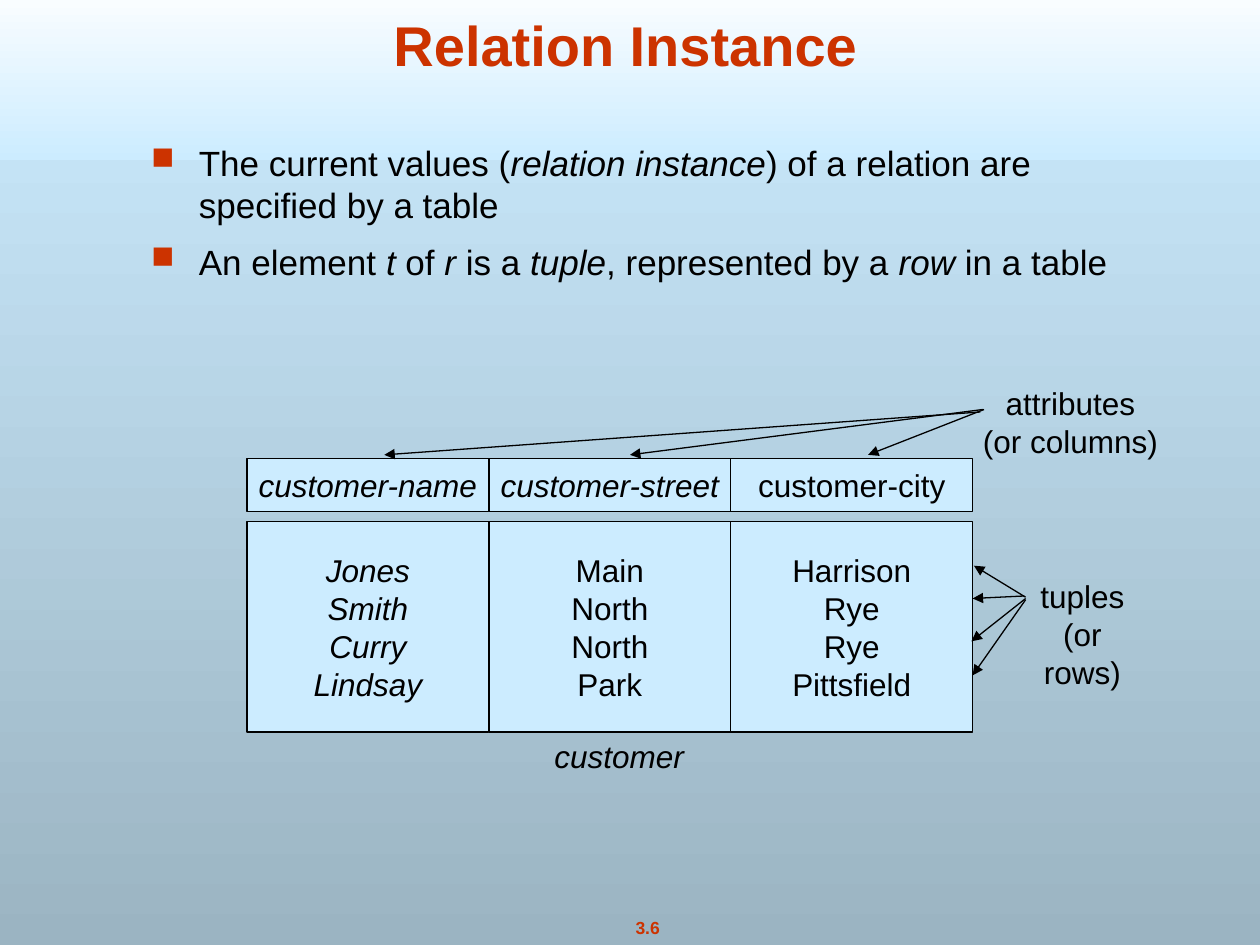
import pptx
import pptx.dml.color
import pptx.enum.shapes
import pptx.enum.text
import pptx.util
from lxml import etree
from pptx.oxml.ns import qn
from pptx.util import Inches

RED, BLACK, PALE = "CC3300", "000000", "CCECFF"
ANCHOR = pptx.enum.text.MSO_ANCHOR
ALIGN = pptx.enum.text.PP_ALIGN


def colour(value):
    return pptx.dml.color.RGBColor.from_string(value)


class SlideBuilder:
    font = "Arial"
    line_width = pptx.util.Pt(0.75)

    def __init__(self, page):
        self.page = page

    def gradient(self, fill, top, bottom):
        fill.gradient()
        fill.gradient_angle = 270
        for stop, value in zip(fill.gradient_stops, (top, bottom)):
            stop.color.rgb = colour(value)

    def rectangle(self, left, top, width, height):
        box = self.page.shapes.add_shape(
            pptx.enum.shapes.MSO_SHAPE.RECTANGLE,
            Inches(left), Inches(top), Inches(width), Inches(height))
        box.shadow.inherit = False
        return box

    def band(self, left, top, width, height, first, last):
        box = self.rectangle(left, top, width, height)
        self.gradient(box.fill, first, last)
        box.line.fill.background()

    def style(self, para, size, value=BLACK, bold=False, italic=None):
        para.font.name = self.font
        para.font.size = pptx.util.Pt(size)
        para.font.color.rgb = colour(value)
        para.font.bold = bold
        para.font.italic = italic

    def set_lines(self, box, lines, size=18, anchor=ANCHOR.TOP, wrap=False, **look):
        frame = box.text_frame
        frame.word_wrap = wrap
        frame.vertical_anchor = anchor
        for index, line in enumerate(lines):
            para = frame.add_paragraph() if index else frame.paragraphs[0]
            para.text = line
            para.alignment = ALIGN.CENTER
            self.style(para, size, **look)

    def text_box(self, left, top, width, height):
        return self.page.shapes.add_textbox(
            Inches(left), Inches(top), Inches(width), Inches(height))

    def label(self, place, lines, **look):
        self.set_lines(self.text_box(*place), lines, **look)

    def cell(self, place, lines, italic):
        box = self.rectangle(*place)
        box.fill.solid()
        box.fill.fore_color.rgb = colour(PALE)
        box.line.color.rgb = colour(BLACK)
        box.line.width = self.line_width
        self.set_lines(box, lines, anchor=ANCHOR.MIDDLE, italic=italic)

    def bullets(self, place, items):
        frame = self.text_box(*place).text_frame
        frame.word_wrap = True
        for index, item in enumerate(items):
            para = frame.add_paragraph() if index else frame.paragraphs[0]
            if index:
                para.space_before = pptx.util.Pt(8.8)
            props = para._p.get_or_add_pPr()
            props.set("marL", str(Inches(0.38)))
            props.set("indent", str(-Inches(0.38)))
            mark = etree.SubElement(props, qn("a:buClr"))
            etree.SubElement(mark, qn("a:srgbClr"), val=RED)
            etree.SubElement(props, qn("a:buSzPct"), val="90000")
            etree.SubElement(props, qn("a:buChar"), char="■")
            self.style(para, 20)
            # Every second piece is italic
            for number, piece in enumerate(item):
                span = para.add_run()
                span.text = piece
                span.font.italic = number % 2 == 1

    def arrow(self, start, end):
        line = self.page.shapes.add_connector(
            pptx.enum.shapes.MSO_CONNECTOR.STRAIGHT,
            *(Inches(value) for value in (*start, *end)))
        line.line.color.rgb = colour(BLACK)
        line.line.width = self.line_width
        props = line._element.spPr
        etree.SubElement(props.find(qn("a:ln")), qn("a:tailEnd"), type="triangle")
        etree.SubElement(props, qn("a:effectLst"))


def main():
    deck = pptx.Presentation()
    deck.slide_width, deck.slide_height = Inches(10), Inches(7.5)
    page = deck.slides.add_slide(deck.slide_layouts[6])
    builder = SlideBuilder(page)

    # Background, title and page number
    builder.gradient(page.background.fill, PALE, "9BB4C2")
    builder.band(0, -0.17, 10, 1.44, "FFFFFF", PALE)
    builder.label((4.65, 7.23, 0.98, 0.27), ["3.6"], size=10, value=RED, bold=True)
    builder.label((0.55, 0, 8.83, 0.67), ["Relation Instance"], size=32,
                  anchor=ANCHOR.BOTTOM, wrap=True, value=RED, bold=True)

    # Statements
    builder.bullets((1.1, 1.07, 8.29, 2.15), [
        ["The current values (", "relation instance",
         ") of a relation are specified by a table"],
        ["An element ", "t", " of ", "r", " is a ", "tuple",
         ", represented by a ", "row ", "in a table"],
    ])

    # Relation drawn as columns: heading, heading italic, values, values italic
    columns = [
        ("customer-name", True, ["Jones", "Smith", "Curry", "Lindsay"], True),
        ("customer-street", True, ["Main", "North", "North", "Park"], False),
        ("customer-city", False, ["Harrison", "Rye", "Rye", "Pittsfield"], False),
    ]
    width = 1.92
    for index, (heading, slanted, values, values_slanted) in enumerate(columns):
        left = 1.96 + index * width
        builder.cell((left, 4.14, width, 1.67), values, values_slanted)
        builder.cell((left, 3.64, width, 0.42), [heading], slanted)
    builder.label((4.3, 5.8, 1.23, 0.4), ["customer"], anchor=ANCHOR.MIDDLE, italic=True)

    # Attribute callout
    builder.label((7.7, 3, 1.59, 0.7), ["attributes", "(or columns)"])
    for start, tip in (((7.78, 3.27), 3.05), ((7.8, 3.25), 5), ((7.81, 3.25), 6.89)):
        builder.arrow(start, (tip, 3.61))

    # Tuple callout
    builder.label((8, 4.53, 1.18, 0.7), ["tuples", "(or rows)"])
    for start, end in (((8.14, 4.74), (7.73, 4.49)), ((8.13, 4.73), (7.72, 4.75)),
                       ((8.14, 4.75), (7.71, 5.09)), ((8.14, 4.76), (7.72, 5.36))):
        builder.arrow(start, end)

    deck.save("out.pptx")


if __name__ == "__main__":
    main()
